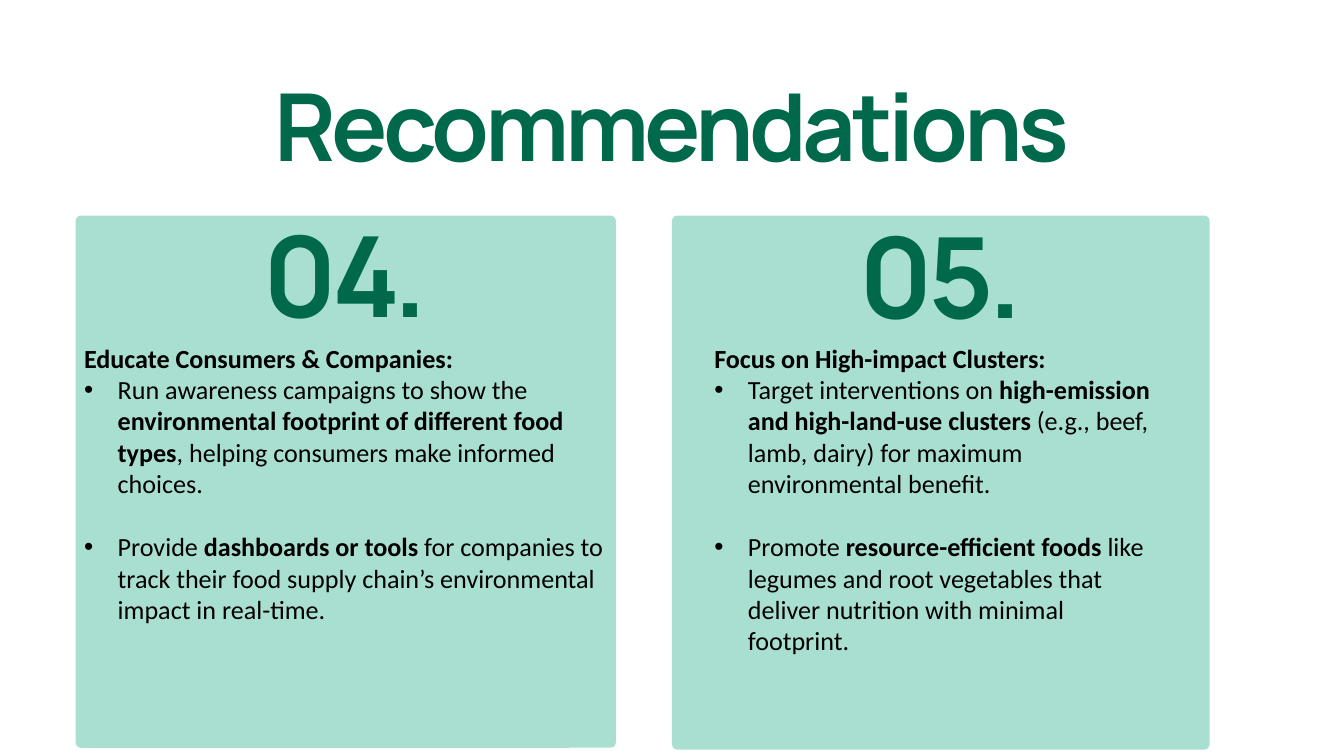
from dataclasses import dataclass

from lxml import etree
from pptx import Presentation
from pptx.dml.color import RGBColor
from pptx.enum.shapes import MSO_SHAPE
from pptx.enum.text import MSO_ANCHOR, MSO_AUTO_SIZE, PP_ALIGN
from pptx.oxml.ns import qn
from pptx.util import Cm, Pt

ROUND = MSO_SHAPE.ROUNDED_RECTANGLE
TOP = MSO_ANCHOR.TOP
FIXED = MSO_AUTO_SIZE.NONE
LEFT, CENTER = PP_ALIGN.LEFT, PP_ALIGN.CENTER


@dataclass(frozen=True)
class Theme:
    green: RGBColor = RGBColor(0x00, 0x69, 0x4C)
    mint: RGBColor = RGBColor(0xA9, 0xDF, 0xD0)
    black: RGBColor = RGBColor(0, 0, 0)
    head: str = "Manrope"
    body: str = "Calibri"
    title: float = 100.4
    number: float = 120
    text: float = 28
    gap: float = 34


@dataclass(frozen=True)
class Box:
    left: float
    top: float
    width: float
    height: float

    def place(self) -> tuple:
        return Cm(self.left), Cm(self.top), Cm(self.width), Cm(self.height)


@dataclass(frozen=True)
class Point:
    start: str
    strong: str
    end: str


@dataclass(frozen=True)
class Card:
    panel: Box
    label: Box
    area: Box
    number: str
    head: str
    points: tuple[Point, ...]


THEME = Theme()
TITLE = Box(6.15, 3.63, 38.48, 3.25)
CARDS = (
    Card(
        Box(2.86, 8.15, 20.42, 20.12),
        Box(9.7, 9.04, 6.73, 3.91),
        Box(3.18, 12.93, 20.12, 10.77),
        "04.",
        "Educate Consumers & Companies:",
        (
            Point("Run awareness campaigns to show the ",
                  "environmental footprint of different food types",
                  ", helping consumers make informed choices."),
            Point("Provide ", "dashboards or tools",
                  " for companies to track their food supply chain’s "
                  "environmental impact in real-time."),
        ),
    ),
    Card(
        Box(25.4, 8.15, 20.32, 20.19),
        Box(32.21, 9.09, 6.73, 3.91),
        Box(27, 12.93, 17.12, 11.96),
        "05.",
        "Focus on High-impact Clusters:",
        (
            Point("Target interventions on ",
                  "high-emission and high-land-use clusters",
                  " (e.g., beef, lamb, dairy) for maximum environmental benefit."),
            Point("Promote ", "resource-efficient foods",
                  " like legumes and root vegetables that deliver nutrition "
                  "with minimal footprint."),
        ),
    ),
)


def set_frame(frame) -> None:
    frame.margin_left = frame.margin_right = 0
    frame.margin_top = frame.margin_bottom = 0
    frame.word_wrap = True
    frame.auto_size = FIXED
    frame.vertical_anchor = TOP


def set_font(para, name: str, size: float, color: RGBColor) -> None:
    para.font.name = name
    para.font.size = Pt(size)
    para.font.color.rgb = color


def write_head(frame, text: str, size: float, lead: float, track: int) -> None:
    set_frame(frame)
    para = frame.paragraphs[0]
    para.alignment = CENTER
    para.line_spacing = Pt(lead)
    set_font(para, THEME.head, size, THEME.green)
    para.font.bold = True
    run = para.add_run()
    run.text = text
    run._r.get_or_add_rPr().set("spc", str(track))


def add_bullet(para) -> None:
    props = para._p.get_or_add_pPr()
    props.set("marL", str(Cm(1.27)))
    props.set("indent", str(-Cm(1.27)))
    etree.SubElement(props, qn("a:buFont"), typeface="Arial")
    etree.SubElement(props, qn("a:buChar"), char="•")


def write_body(frame, card: Card) -> None:
    set_frame(frame)
    para = frame.paragraphs[0]
    para.alignment = LEFT
    set_font(para, THEME.body, THEME.text, THEME.black)
    para.font.bold = True
    para.add_run().text = card.head
    for index, point in enumerate(card.points):
        para = frame.add_paragraph()
        para.alignment = LEFT
        add_bullet(para)
        para.space_before = Pt(THEME.gap if index else 0)
        set_font(para, THEME.body, THEME.text, THEME.black)
        for text in (point.start, point.strong, point.end):
            run = para.add_run()
            run.text = text
            run.font.bold = text == point.strong


def draw_card(slide, card: Card) -> None:
    panel = slide.shapes.add_shape(ROUND, *card.panel.place())
    panel.adjustments[0] = 0.01
    panel.shadow.inherit = False
    panel.fill.solid()
    panel.fill.fore_color.rgb = THEME.mint
    panel.line.fill.background()
    label = slide.shapes.add_textbox(*card.label.place())
    write_head(label.text_frame, card.number, THEME.number, 108, -550)
    area = slide.shapes.add_textbox(*card.area.place())
    write_body(area.text_frame, card)


def draw_title(slide) -> None:
    title = slide.shapes.title
    title.left, title.top, title.width, title.height = TITLE.place()
    write_head(title.text_frame, "Recommendations", THEME.title, 90.4, -460)


def main() -> None:
    deck = Presentation()
    deck.slide_width, deck.slide_height = Cm(50.8), Cm(28.58)
    slide = deck.slides.add_slide(deck.slide_layouts[5])
    draw_title(slide)
    for card in CARDS:
        draw_card(slide, card)
    deck.save("out.pptx")


if __name__ == "__main__":
    main()
